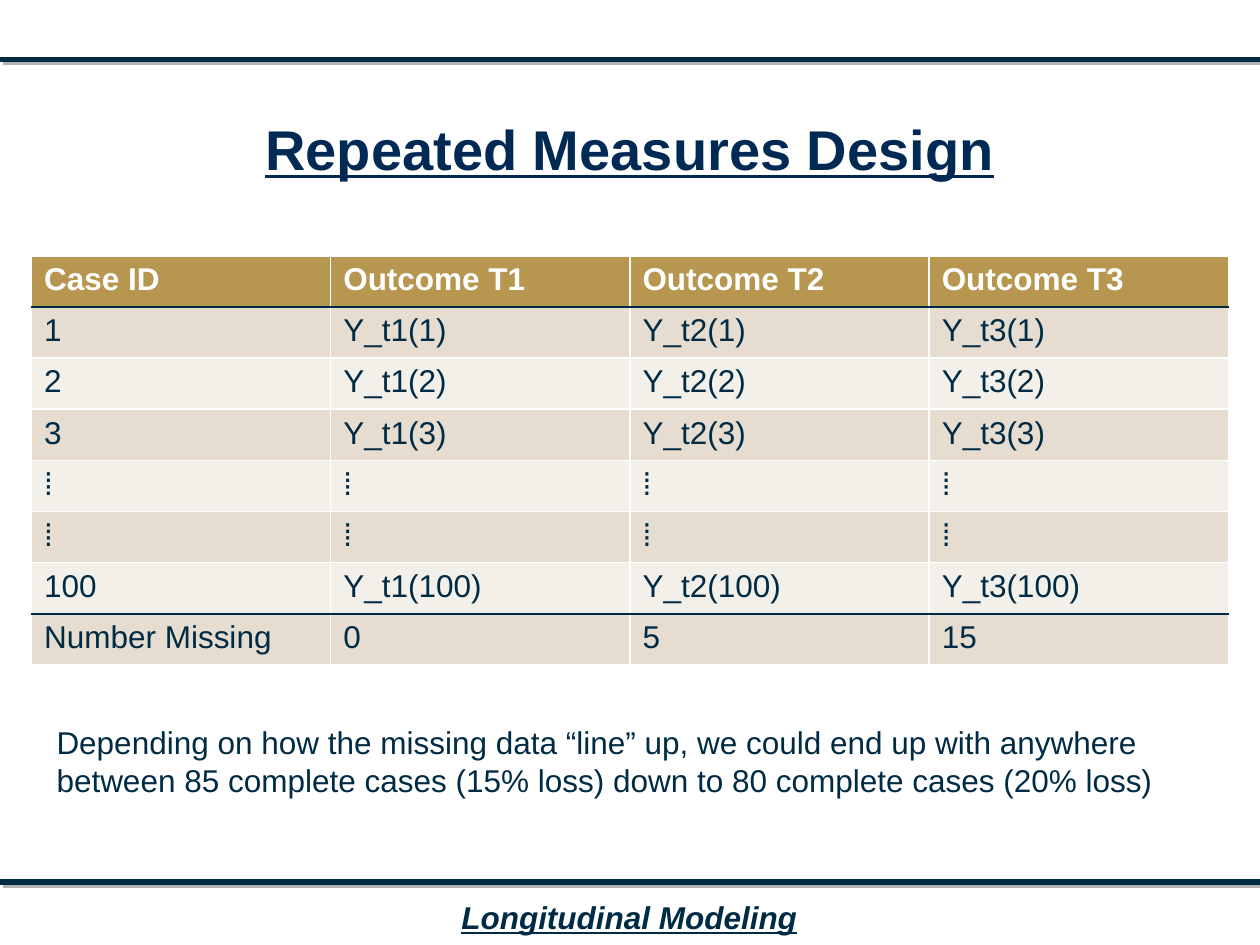
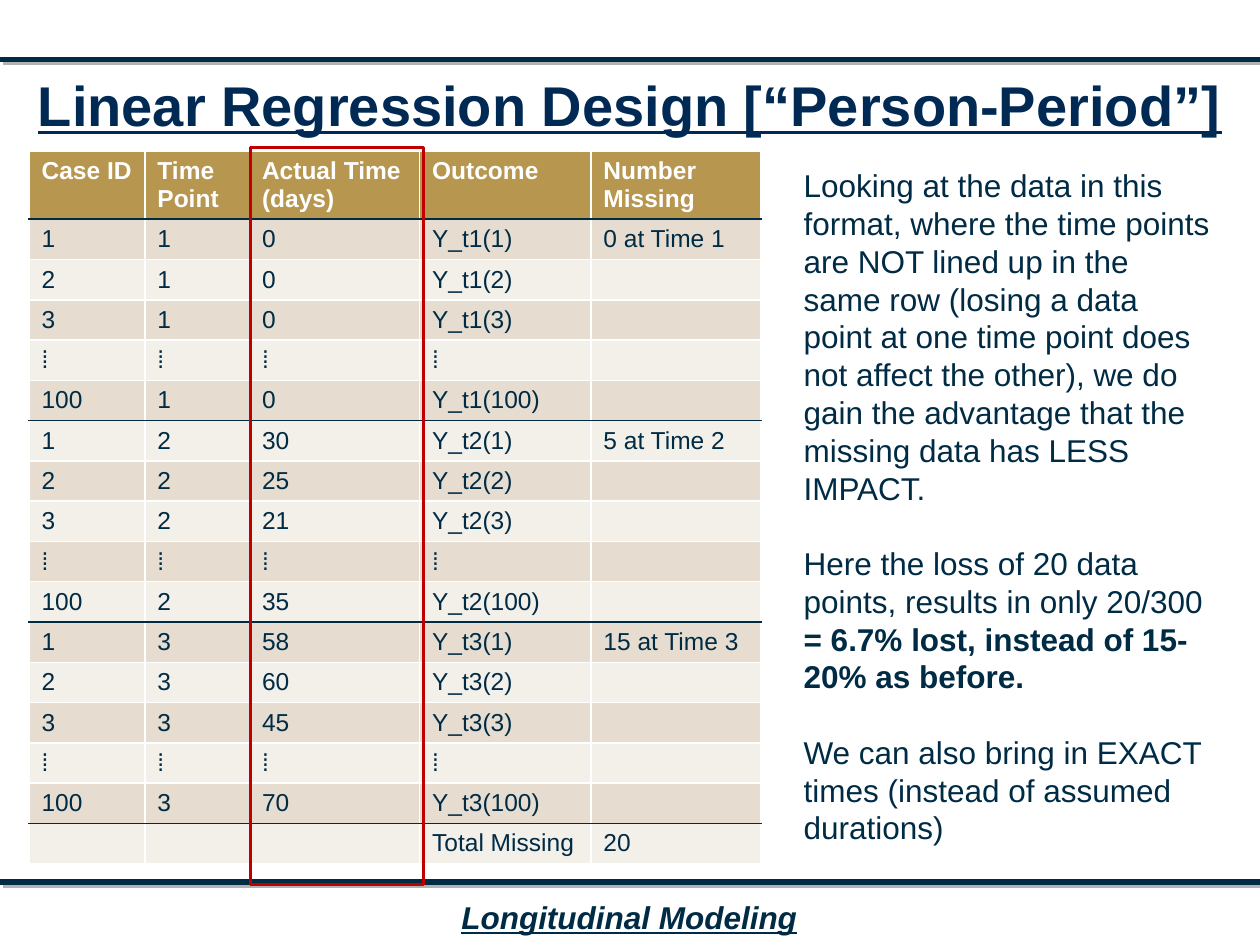
from lxml import etree
from pptx import Presentation
from pptx.dml.color import RGBColor
from pptx.enum.shapes import MSO_CONNECTOR, MSO_SHAPE
from pptx.enum.text import MSO_ANCHOR, MSO_AUTO_SIZE, PP_ALIGN
from pptx.oxml import parse_xml
from pptx.oxml.ns import nsdecls, qn
from pptx.util import Inches, Pt

COLORS = {
    "ink": "002B45",
    "title": "002A54",
    "white": "FFFFFF",
    "header": "B79650",
    "band_dark": "E6DDD0",
    "band_light": "F3EFE9",
    "shadow": "B2B2B2",
    "highlight": "C00000",
}
FONT = "Arial"
DOTS = "⁞"
RULE_TOPS = (0.47, 7)
EMPTY_CELL_SIZE = 12


def rgb(name):
    """Return the named colour."""
    return RGBColor.from_string(COLORS[name])


def style_runs(paragraph, size, color="ink", bold=False, italic=False, underline=False):
    """Format every run of a paragraph."""
    for run in paragraph.runs:
        font = run.font
        font.name, font.size = FONT, Pt(size)
        font.bold, font.italic, font.underline = bold, italic, underline
        font.color.rgb = rgb(color)


def add_rule(slide, top):
    """Draw a full-width rule with a grey shadow below it."""
    rule = slide.shapes.add_connector(
        MSO_CONNECTOR.STRAIGHT, 0, Inches(top), Inches(10), Inches(top)
    )
    rule.line.color.rgb = rgb("ink")
    rule.line.width = Pt(3)
    rule.element.spPr.append(parse_xml(
        f'<a:effectLst {nsdecls("a")}>'
        f'<a:outerShdw dist="{Pt(2.8)}" dir="{45 * 60000}" algn="ctr" rotWithShape="0">'
        f'<a:srgbClr val="{COLORS["shadow"]}"/></a:outerShdw></a:effectLst>'
    ))
    return rule


def add_footer(slide, text):
    """Write the centred course name below the lower rule."""
    footer = slide.shapes.add_textbox(
        Inches(3.55), Inches(7.08), Inches(2.89), Inches(0.4)
    )
    frame = footer.text_frame
    frame.word_wrap = False
    frame.auto_size = MSO_AUTO_SIZE.SHAPE_TO_FIT_TEXT
    frame.text = text
    paragraph = frame.paragraphs[0]
    paragraph.alignment = PP_ALIGN.CENTER
    style_runs(paragraph, 18, bold=True, italic=True, underline=True)
    return footer


def furnish_layout(layout, slide):
    """Move the rules and the footer onto the layout that the slides share."""
    parts = [add_rule(slide, top) for top in RULE_TOPS]
    parts.append(add_footer(slide, "Longitudinal Modeling"))
    for part in parts:
        layout.shapes.element.append(part.element)


def set_title(slide, text, box):
    """Place and format the title placeholder."""
    title = slide.shapes.title
    title.left, title.top, title.width, title.height = map(Inches, box)
    frame = title.text_frame
    frame.text = text
    frame.word_wrap = True
    frame.auto_size = MSO_AUTO_SIZE.NONE
    frame.vertical_anchor = MSO_ANCHOR.MIDDLE
    frame.margin_left = frame.margin_right = Inches(0.05)
    frame.margin_top = frame.margin_bottom = Inches(0.05)
    paragraph = frame.paragraphs[0]
    paragraph.alignment = PP_ALIGN.CENTER
    paragraph.line_spacing = 0.85
    style_runs(paragraph, 32, "title", bold=True, underline=True)


def set_borders(cell, top, bottom):
    """Give a cell white sides and the named top and bottom border colours."""
    properties = cell._tc.get_or_add_tcPr()
    sides = {"lnL": "white", "lnR": "white", "lnT": top, "lnB": bottom}
    for tag, color in sides.items():
        line = etree.SubElement(properties, qn(f"a:{tag}"), w=str(Pt(1)))
        fill = etree.SubElement(line, qn("a:solidFill"))
        etree.SubElement(fill, qn("a:srgbClr"), val=COLORS[color])


def fill_cell(cell, text, size, fill, color, bold):
    """Write a cell and colour its background, keeping empty cells low."""
    cell.fill.solid()
    cell.fill.fore_color.rgb = rgb(fill)
    cell.text_frame.text = text
    for paragraph in cell.text_frame.paragraphs:
        style_runs(paragraph, size, color, bold)
        if not text:
            ending = etree.SubElement(
                paragraph._p, qn("a:endParaRPr"), sz=str(EMPTY_CELL_SIZE * 100)
            )
            etree.SubElement(ending, qn("a:latin"), typeface=FONT)


def add_data_table(slide, rows, origin, widths, heights, size, ruled_rows):
    """Draw a banded table with a dark line under each of the ruled rows."""
    left, top = origin
    frame = slide.shapes.add_table(
        len(rows), len(widths), Inches(left), Inches(top),
        Inches(sum(widths)), Inches(sum(heights)),
    )
    table = frame.table
    table.horz_banding = False
    for column, width in zip(table.columns, widths):
        column.width = Inches(width)
    for index, (values, height) in enumerate(zip(rows, heights)):
        table.rows[index].height = Inches(height)
        header = index == 0
        band = "band_dark" if index % 2 else "band_light"
        above = "ink" if index - 1 in ruled_rows else "white"
        below = "ink" if index in ruled_rows else "white"
        for column, value in enumerate(values):
            cell = table.cell(index, column)
            set_borders(cell, above, below)
            fill_cell(cell, value, size, "header" if header else band,
                      "white" if header else "ink", header)


def add_commentary(slide, paragraphs, box, gap=0):
    """Write paragraphs, each a list of (text, bold) pieces, in a box."""
    textbox = slide.shapes.add_textbox(*map(Inches, box))
    frame = textbox.text_frame
    frame.word_wrap = True
    frame.auto_size = MSO_AUTO_SIZE.SHAPE_TO_FIT_TEXT
    for index, pieces in enumerate(paragraphs):
        paragraph = frame.add_paragraph() if index else frame.paragraphs[0]
        paragraph.space_before = Pt(gap if index else 0)
        for text, _ in pieces:
            paragraph.add_run().text = text
        style_runs(paragraph, 18)
        for run, (_, bold) in zip(paragraph.runs, pieces):
            run.font.bold = bold


def add_highlight(slide, box):
    """Outline a region in red."""
    outline = slide.shapes.add_shape(MSO_SHAPE.RECTANGLE, *map(Inches, box))
    outline.shadow.inherit = False
    outline.fill.background()
    outline.line.color.rgb = rgb("highlight")
    outline.line.width = Pt(2)


def build_repeated_measures(slide):
    """Build the slide with one row per case."""
    set_title(slide, "Repeated Measures Design", (0.25, 0.65, 9.5, 1.13))
    times = (1, 2, 3)
    rows = [["Case ID"] + [f"Outcome T{time}" for time in times]]
    for case in ("1", "2", "3", DOTS, DOTS, "100"):
        rows.append([case] + [
            DOTS if case == DOTS else f"Y_t{time}({case})" for time in times
        ])
    rows.append(["Number Missing", "0", "5", "15"])
    add_data_table(slide, rows, (0.25, 2.03), [9.5 / 4] * 4,
                   [3.25 / len(rows)] * len(rows), 18, (0, 6))
    add_commentary(slide, [[(
        "Depending on how the missing data “line” up, we could end up with anywhere "
        "between 85 complete cases (15% loss) down to 80 complete cases (20% loss)", False,
    )]], (0.35, 5.69, 9.38, 0.71))


def build_person_period(slide):
    """Build the slide with one row per case and time point."""
    set_title(slide, "Linear Regression Design [“Person-Period”]", (0, 0.3, 10, 1.13))
    rows = [["Case ID", "Time\nPoint", "Actual Time (days)", "Outcome", "Number\nMissing"]]
    visits = {
        1: (("0", "0", "0", DOTS, "0"), 0),
        2: (("30", "25", "21", DOTS, "35"), 5),
        3: (("58", "60", "45", DOTS, "70"), 15),
    }
    for time, (days, missing) in visits.items():
        for case, day in zip(("1", "2", "3", DOTS, "100"), days):
            note = f"{missing} at Time {time}" if case == "1" else ""
            if case == DOTS:
                rows.append([DOTS] * 4 + [note])
            else:
                rows.append([case, str(time), day, f"Y_t{time}({case})", note])
    rows.append(["", "", "", "Total Missing", "20"])
    heights = [0.54] + [0.32] * (len(rows) - 1)
    add_data_table(slide, rows, (0.23, 1.2), (0.92, 0.83, 1.35, 1.36, 1.35),
                   heights, 14, (0, 5, 10, 15))
    add_commentary(slide, [
        [("Looking at the data in this format, where the time points are NOT lined up "
          "in the same row (losing a data point at one time point does not affect the "
          "other), we do gain the advantage that the missing data has LESS IMPACT.", False)],
        [("Here the loss of 20 data points, results in only 20/300 ", False),
         ("= 6.7% lost, instead of 15-20% as before.", True)],
        [("We can also bring in EXACT times (instead of assumed durations)", False)],
    ], (6.28, 1.27, 3.43, 5.55), gap=21.5)
    add_highlight(slide, (1.99, 1.17, 1.37, 5.85))


def main():
    """Build and save the presentation."""
    presentation = Presentation()
    presentation.slide_width, presentation.slide_height = Inches(10), Inches(7.5)
    layout = presentation.slide_layouts.get_by_name("Title Only")
    builders = (build_repeated_measures, build_person_period)
    slides = [presentation.slides.add_slide(layout) for _ in builders]
    furnish_layout(layout, slides[0])
    for build, slide in zip(builders, slides):
        build(slide)
    presentation.save("out.pptx")


if __name__ == "__main__":
    main()
